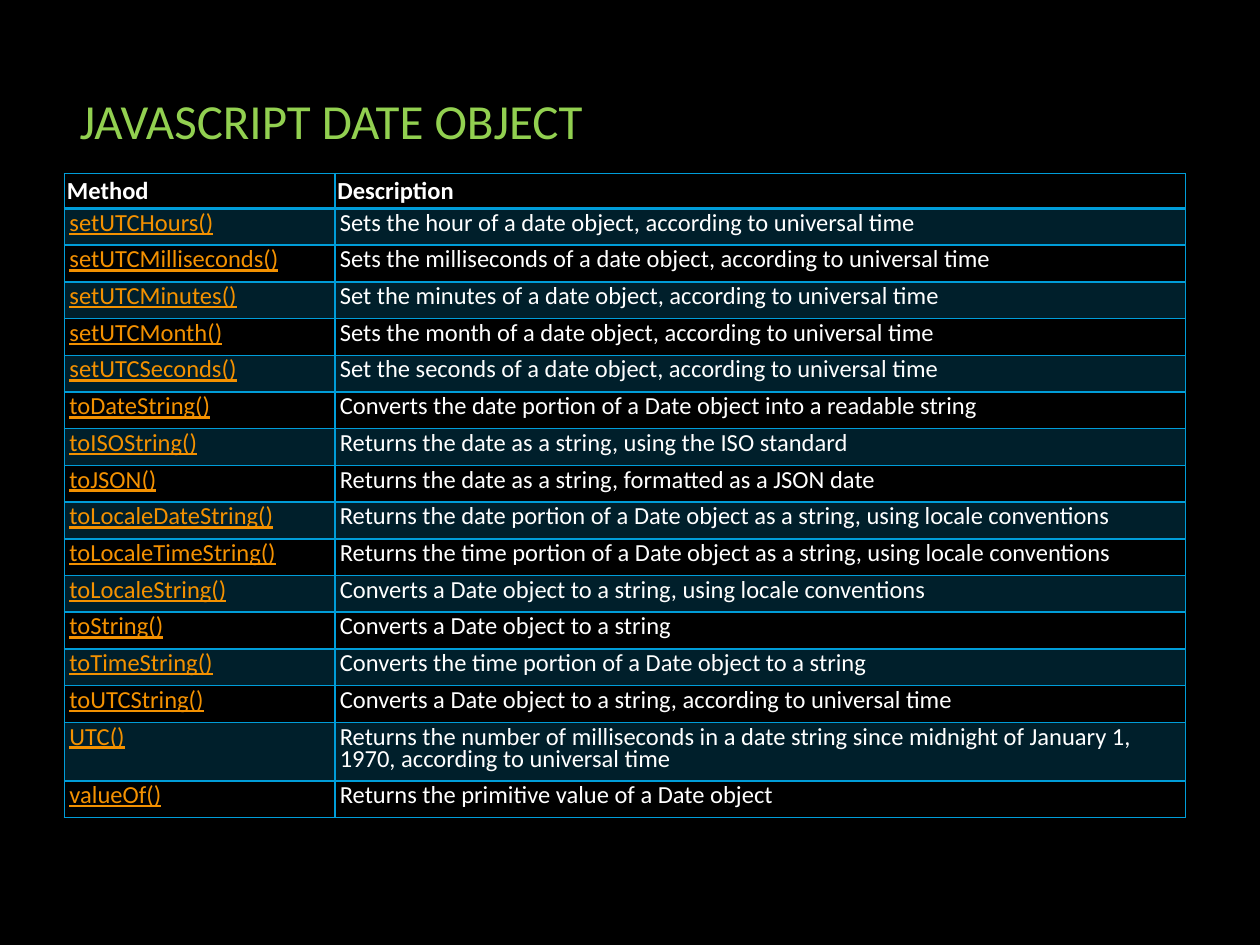
import pptx
import pptx.util
import pptx.dml.color
import pptx.enum.text
import pptx.oxml.ns
from lxml import etree

Cm, Pt = pptx.util.Cm, pptx.util.Pt
Anchor, Align = pptx.enum.text.MSO_ANCHOR, pptx.enum.text.PP_ALIGN

# Content
TITLE = "JAVASCRIPT DATE OBJECT"
HEAD = ("Method", "Description")
ROWS = [
    ("setUTCHours()", "Sets the hour of a date object, according to universal time"),
    ("setUTCMilliseconds()", "Sets the milliseconds of a date object, according to universal time"),
    ("setUTCMinutes()", "Set the minutes of a date object, according to universal time"),
    ("setUTCMonth()", "Sets the month of a date object, according to universal time"),
    ("setUTCSeconds()", "Set the seconds of a date object, according to universal time"),
    ("toDateString()", "Converts the date portion of a Date object into a readable string"),
    ("toISOString()", "Returns the date as a string, using the ISO standard"),
    ("toJSON()", "Returns the date as a string, formatted as a JSON date"),
    ("toLocaleDateString()", "Returns the date portion of a Date object as a string, using locale conventions"),
    ("toLocaleTimeString()", "Returns the time portion of a Date object as a string, using locale conventions"),
    ("toLocaleString()", "Converts a Date object to a string, using locale conventions"),
    ("toString()", "Converts a Date object to a string"),
    ("toTimeString()", "Converts the time portion of a Date object to a string"),
    ("toUTCString()", "Converts a Date object to a string, according to universal time"),
    ("UTC()", "Returns the number of milliseconds in a date string since midnight of "
              "January 1, 1970, according to universal time"),
    ("valueOf()", "Returns the primitive value of a Date object"),
]

# Theme
THEME = {
    "font": "Calibri", "title": 28, "text": 14, "lead": 12.7,
    "back": "000000", "lime": "92D050", "white": "FFFFFF",
    "link": "F49100", "blue": "009DD9", "tint": 20,
    "thin": 1, "thick": 2,
}

# Layout in centimetres
COLS = (5.45, 17.15)
TABLE = (1.3, 3.5)
HEAD_H, ROW_H, TALL_H = 0.7, 0.74, 1.18
WRAP = 90  # letters that fit on one line of the description


def color(key):
    return pptx.dml.color.RGBColor.from_string(THEME[key])


def apply(item, values):
    for name, value in values.items():
        setattr(item, name, value)


def style(para, size, hue, **extra):
    apply(para.font, {"name": THEME["font"], "size": Pt(THEME[size]), **extra})
    para.font.color.rgb = color(hue)


def tint(cell):
    cell.fill.solid()
    cell.fill.fore_color.rgb = color("blue")
    hue = cell.fill._xPr.find(".//" + pptx.oxml.ns.qn("a:srgbClr"))
    etree.SubElement(hue, pptx.oxml.ns.qn("a:alpha"), val=str(THEME["tint"] * 1000))


def border(cell, widths):
    props = cell._tc.get_or_add_tcPr()
    for place, (side, width) in enumerate(widths.items()):
        line = etree.Element(pptx.oxml.ns.qn("a:ln" + side), w=str(Pt(THEME[width])))
        fill = etree.SubElement(line, pptx.oxml.ns.qn("a:solidFill"))
        etree.SubElement(fill, pptx.oxml.ns.qn("a:srgbClr"), val=THEME["blue"])
        props.insert(place, line)


def fill_cell(cell, text, row, col):
    head = row == 0
    side, edge = (0.05, 0.05) if head else (0.1, 0.14)
    apply(cell, {
        "text": text,
        "margin_left": Cm(side), "margin_right": Cm(side),
        "margin_top": Cm(edge), "margin_bottom": Cm(edge),
        "vertical_anchor": Anchor.MIDDLE if head else Anchor.TOP,
    })
    para = cell.text_frame.paragraphs[0]
    link = col == 0 and not head
    if not head:
        para.line_spacing = Pt(THEME["lead"])
    style(para, "text", "link" if link else "white", bold=head, underline=link)
    if row % 2:
        tint(cell)
    else:
        cell.fill.background()
    border(cell, {"L": "thin", "R": "thin",
                  "T": "thick" if row == 1 else "thin",
                  "B": "thick" if head else "thin"})


def add_title(slide):
    title = slide.shapes.title
    apply(title, {"left": Cm(1.35), "top": Cm(1.52),
                  "width": Cm(22.73), "height": Cm(1.8)})
    apply(title.text_frame, {"text": TITLE, "word_wrap": True,
                             "vertical_anchor": Anchor.MIDDLE})
    para = title.text_frame.paragraphs[0]
    para.alignment = Align.LEFT
    style(para, "title", "lime")


def add_grid(slide):
    tall = [HEAD_H] + [TALL_H if len(desc) > WRAP else ROW_H for _, desc in ROWS]
    size = (sum(COLS), sum(tall))
    grid = slide.shapes.add_table(len(tall), len(COLS), *map(Cm, TABLE + size)).table
    grid.horz_banding = False
    for col, width in zip(grid.columns, COLS):
        col.width = Cm(width)
    for row, (texts, height) in enumerate(zip([HEAD] + ROWS, tall)):
        grid.rows[row].height = Cm(height)
        for col, text in enumerate(texts):
            fill_cell(grid.cell(row, col), text, row, col)


def main():
    deck = pptx.Presentation()
    apply(deck, {"slide_width": Cm(25.4), "slide_height": Cm(19.05)})
    slide = deck.slides.add_slide(deck.slide_layouts[5])
    slide.background.fill.solid()
    slide.background.fill.fore_color.rgb = color("back")
    add_title(slide)
    add_grid(slide)
    deck.save("out.pptx")


if __name__ == "__main__":
    main()
